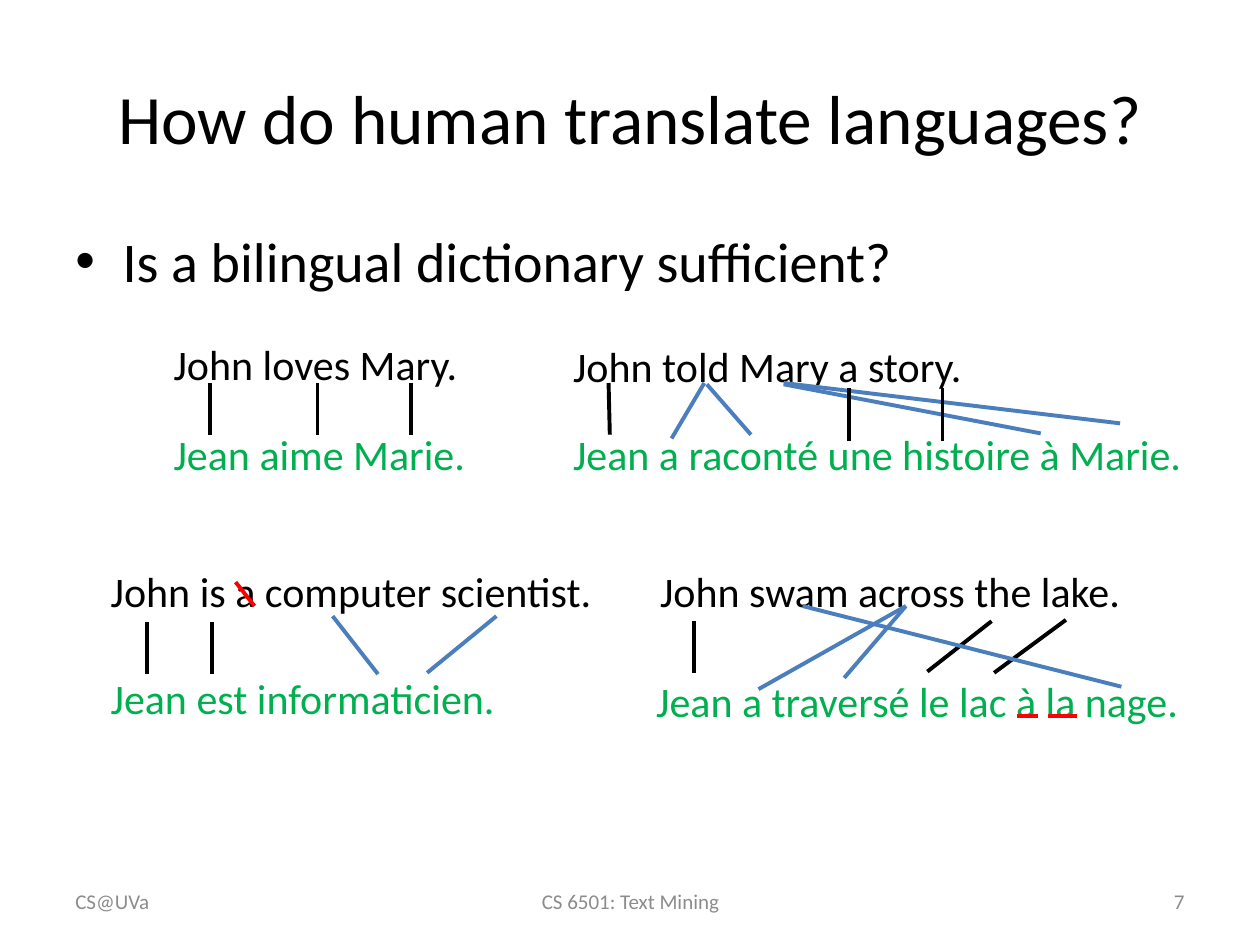
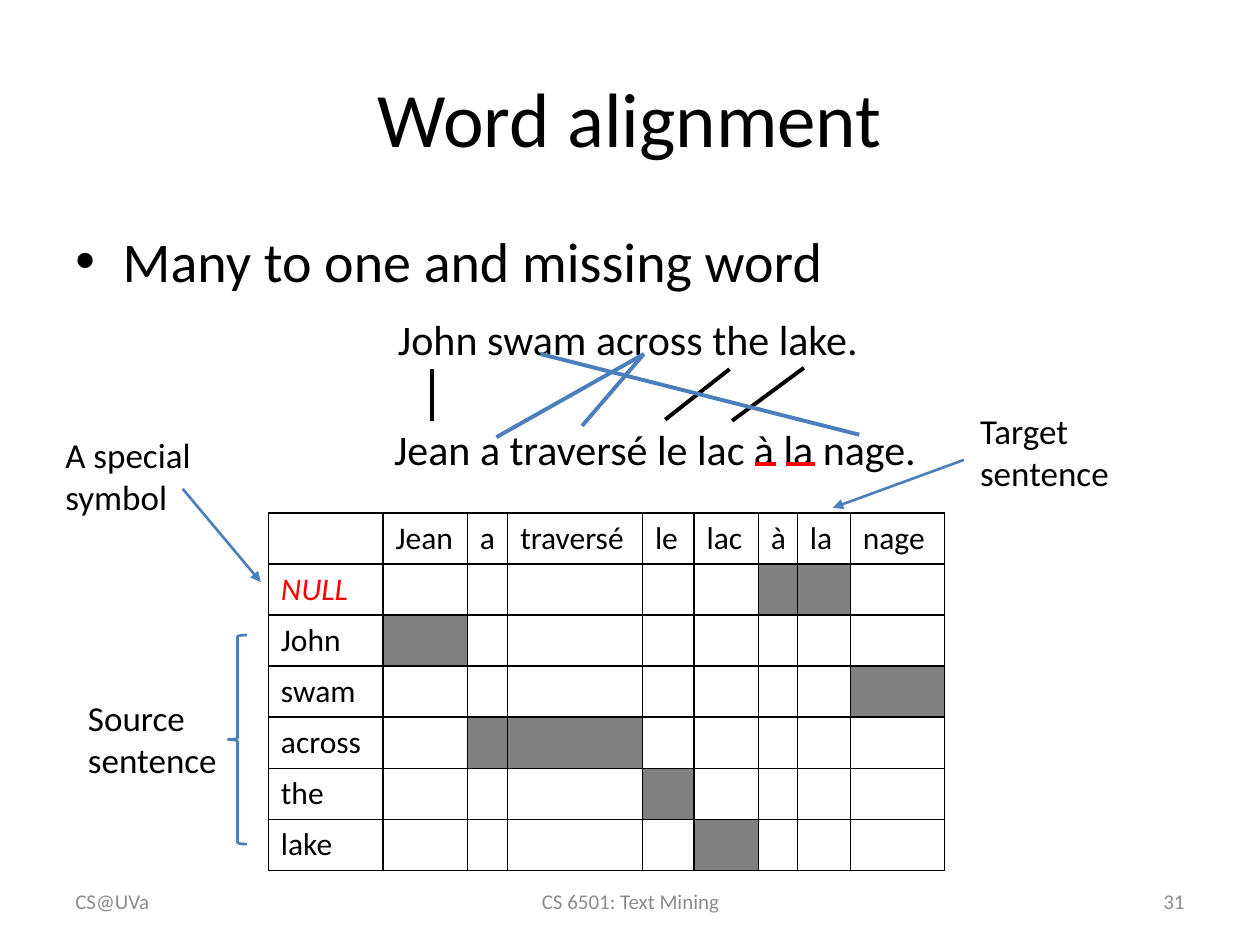
from dataclasses import dataclass, replace

from lxml import etree
from pptx import Presentation
from pptx import util as u
from pptx.dml.color import RGBColor
from pptx.enum import shapes, text
from pptx.oxml import ns, xmlchemy

WIDTH, HEIGHT = u.Inches(10), u.Inches(7.5)
COLUMNS, ROWS = 100, 75
FONT = "Calibri"
BLACK, BLUE, GREEN, RED = "000000", "4B7EBC", "00B050", "FF0000"
FOOTER_GRAY, CELL_GRAY = "8C8C8C", "808080"
LEFT, CENTER, RIGHT = text.PP_ALIGN.LEFT, text.PP_ALIGN.CENTER, text.PP_ALIGN.RIGHT
TOP, MIDDLE = text.MSO_ANCHOR.TOP, text.MSO_ANCHOR.MIDDLE


@dataclass(frozen=True)
class Box:
    left: float
    top: float
    width: float
    height: float


@dataclass(frozen=True)
class Link:
    start: tuple[float, float]
    end: tuple[float, float]
    color: str = BLACK


@dataclass(frozen=True)
class Sentence:
    words: str
    width: float
    color: str = BLACK


@dataclass(frozen=True)
class Translation:
    left: float
    top: float
    source: Sentence
    target: Sentence
    target_offset: tuple[float, float]
    links: tuple[Link, ...]


@dataclass(frozen=True)
class Label:
    words: str
    left: float
    top: float


TITLE_BOX = Box(5, 3, 90, 12.5)
BULLET_BOX = Box(5, 17.5, 90, 49.5)
SENTENCE_HEIGHT = 5

LOVES = Translation(
    12.8, 26.4, Sentence("John loves Mary.", 24.7),
    Sentence("Jean aime Marie.", 25.4, GREEN), (0, 7.1),
    tuple(Link((column, 4), (column, 8.1)) for column in (3.9, 12.4, 19.8)))
TOLD = Translation(
    44.5, 26.5, Sentence("John told Mary a story.", 33.1),
    Sentence("Jean a raconté une histoire à Marie.", 50.7, GREEN), (0, 7),
    (Link((3.8, 3.9), (3.9, 8)),
     Link((11.4, 3.9), (8.8, 8.3), BLUE),
     Link((11.6, 4), (15.1, 8), BLUE),
     Link((17.7, 4), (38.1, 7.9), BLUE),
     Link((17.7, 3.9), (44.4, 7.1), BLUE),
     Link((22.9, 4.3), (22.9, 8.5)),
     Link((30.3, 4.3), (30.3, 8.5))))
SCIENTIST = Translation(
    7.8, 44.4, Sentence("John is a computer scientist.", 40.5),
    Sentence("Jean est informaticien.", 32.8, GREEN), (0, 8.5),
    (Link((10.9, 1.8), (12.4, 3.7), RED),
     Link((3.9, 5), (3.9, 9.1)),
     Link((9, 5), (9, 9.1)),
     Link((18.6, 4.5), (22.2, 9.1), BLUE),
     Link((31.6, 4.5), (26.1, 9), BLUE)))
SWAM = Translation(
    51.4, 44.4, Sentence("John swam across the lake.", 38.8),
    Sentence("Jean a traversé le lac à la nage.", 44.6, GREEN), (-0.3, 8.7),
    (Link((29.3, 12.4), (31, 12.4), RED),
     Link((31.8, 12.4), (34.1, 12.4), RED),
     Link((3.7, 4.9), (3.7, 9)),
     Link((20.5, 3.7), (15.6, 9.4), BLUE),
     Link((27.3, 4.9), (22.2, 8.9)),
     Link((33.2, 4.8), (27.5, 9)),
     Link((12.3, 3.7), (37.6, 10.1), BLUE),
     Link((20.5, 3.7), (8.8, 10.3), BLUE)))

LABELS = (
    Label("Target sentence", 76.8, 32),
    Label("Source sentence", 6, 54.8),
    Label("A special symbol", 4.2, 33.9),
)
POINTERS = (
    Link((76.5, 36.5), (66.1, 40.3), BLUE),
    Link((14.5, 38.8), (20.7, 46.2), BLUE),
)
TARGET_WORDS = ("Jean", "a", "traversé", "le", "lac", "à", "la", "nage")
SOURCE_WORDS = ("NULL", "John", "swam", "across", "the", "lake")
ALIGNED = {
    "NULL": ("à", "la"), "John": ("Jean",), "swam": ("nage",),
    "across": ("a", "traversé"), "the": ("le",), "lake": ("lac",),
}
TABLE_BOX = Box(21.3, 40.7, 53.6, 28.4)
TABLE_COLUMNS = (9.1, 6.7, 3.2, 10.7, 4.1, 5.1, 3.1, 4.2, 7.5)


def rgb(value: str) -> RGBColor:
    return RGBColor.from_string(value)


def across(columns: float) -> int:
    return round(WIDTH * columns / COLUMNS)


def down(rows: float) -> int:
    return round(HEIGHT * rows / ROWS)


def place(box: Box) -> tuple[int, int, int, int]:
    return across(box.left), down(box.top), across(box.width), down(box.height)


def write(frame, words: str, *, size: float, color: str = BLACK,
          align=LEFT, italic: bool = False):
    paragraph = frame.paragraphs[0]
    paragraph.alignment = align
    run = paragraph.add_run()
    run.text = words
    run.font.name = FONT
    run.font.size = u.Pt(size)
    run.font.bold = False
    run.font.italic = italic
    run.font.color.rgb = rgb(color)
    return paragraph


def add_text(slide, box: Box, words: str, *, wrap: bool = True, anchor=TOP, **style):
    frame = slide.shapes.add_textbox(*place(box)).text_frame
    frame.word_wrap = wrap
    frame.vertical_anchor = anchor
    return write(frame, words, **style)


def add_bullet(slide, words: str) -> None:
    paragraph = add_text(slide, BULLET_BOX, words, size=32)
    properties = paragraph._p.get_or_add_pPr()
    indent = u.Inches(0.375)
    properties.set("marL", str(indent))
    properties.set("indent", str(-indent))
    etree.SubElement(properties, ns.qn("a:buFont"), typeface="Arial")
    etree.SubElement(properties, ns.qn("a:buChar"), char="•")


def add_link(slide, link: Link, *, left: float = 0, top: float = 0,
             weight: float = 2.25, arrow: bool = False) -> None:
    connector = slide.shapes.add_connector(
        shapes.MSO_CONNECTOR.STRAIGHT,
        across(left + link.start[0]), down(top + link.start[1]),
        across(left + link.end[0]), down(top + link.end[1]))
    connector.line.color.rgb = rgb(link.color)
    connector.line.width = u.Pt(weight)
    if arrow:
        etree.SubElement(connector.line._get_or_add_ln(), ns.qn("a:tailEnd"), type="triangle")
    etree.SubElement(connector._element.spPr, ns.qn("a:effectLst"))


def add_translation(slide, translation: Translation) -> None:
    shift_x, shift_y = translation.target_offset
    for sentence, x, y in ((translation.source, 0, 0),
                           (translation.target, shift_x, shift_y)):
        box = Box(translation.left + x, translation.top + y, sentence.width, SENTENCE_HEIGHT)
        add_text(slide, box, sentence.words, size=24, color=sentence.color, wrap=False)
    for link in translation.links:
        add_link(slide, link, left=translation.left, top=translation.top)


def add_brace(slide, box: Box) -> None:
    shape = slide.shapes.add_shape(shapes.MSO_SHAPE.LEFT_BRACE, *place(box))
    shape.shadow.inherit = False
    shape.fill.background()
    shape.line.color.rgb = rgb(BLUE)
    shape.line.width = u.Pt(1.5)


def add_borders(cell) -> None:
    properties = cell._tc.get_or_add_tcPr()
    for side in ("lnL", "lnR", "lnT", "lnB"):
        border = etree.SubElement(properties, ns.qn(f"a:{side}"), w=str(u.Pt(1)))
        fill = etree.SubElement(border, ns.qn("a:solidFill"))
        etree.SubElement(fill, ns.qn("a:srgbClr"), val=BLACK)


def format_cell(cell, words: str, shaded: bool) -> None:
    add_borders(cell)
    if shaded:
        cell.fill.solid()
        cell.fill.fore_color.rgb = rgb(CELL_GRAY)
    else:
        cell.fill.background()
    special = words == "NULL"
    if words:
        write(cell.text_frame, words, size=18, color=RED if special else BLACK, italic=special)


def add_alignment_table(slide) -> None:
    row_words, column_words = ("", *SOURCE_WORDS), ("", *TARGET_WORDS)
    table = slide.shapes.add_table(
        len(row_words), len(column_words), *place(TABLE_BOX)).table
    table.first_row = table.horz_banding = False
    for column, width in zip(table.columns, TABLE_COLUMNS):
        column.width = across(width)
    for row, source in enumerate(row_words):
        for column, target in enumerate(column_words):
            words = source if column == 0 else target if row == 0 else ""
            format_cell(table.cell(row, column), words, target in ALIGNED.get(source, ()))


def add_slide(presentation, title: str, bullet: str, number: int, title_size: float = 44):
    slide = presentation.slides.add_slide(presentation.slide_layouts.get_by_name("Title Only"))
    heading = slide.shapes.title
    heading.left, heading.top, heading.width, heading.height = place(TITLE_BOX)
    heading.text_frame.vertical_anchor = MIDDLE
    write(heading.text_frame, title, size=title_size, align=CENTER)
    add_bullet(slide, bullet)
    for words, left, width, align in (("CS@UVa", 5, 23.3, LEFT),
                                      ("CS 6501: Text Mining", 34.2, 31.7, CENTER),
                                      (str(number), 71.7, 23.3, RIGHT)):
        add_text(slide, Box(left, 69.5, width, 4), words, size=12,
                 color=FOOTER_GRAY, align=align, anchor=MIDDLE)
    return slide


def build_translation_slide(presentation) -> None:
    slide = add_slide(presentation, "How do human translate languages?",
                      "Is a bilingual dictionary sufficient?", 7, title_size=39.6)
    for translation in (LOVES, TOLD, SCIENTIST, SWAM):
        add_translation(slide, translation)


def build_alignment_slide(presentation) -> None:
    slide = add_slide(presentation, "Word alignment", "Many to one and missing word", 31)
    add_translation(slide, replace(
        SWAM, left=30.6, top=24.4, target=replace(SWAM.target, color=BLACK)))
    add_alignment_table(slide)
    for label in LABELS:
        add_text(slide, Box(label.left, label.top, 15.7, 7.7), label.words, size=20)
    for pointer in POINTERS:
        add_link(slide, pointer, weight=1.5, arrow=True)
    add_brace(slide, Box(18.1, 50.4, 1.5, 16.6))


def main() -> None:
    presentation = Presentation()
    presentation.slide_width, presentation.slide_height = WIDTH, HEIGHT
    build_translation_slide(presentation)
    build_alignment_slide(presentation)
    presentation.save("out.pptx")


if __name__ == "__main__":
    main()
